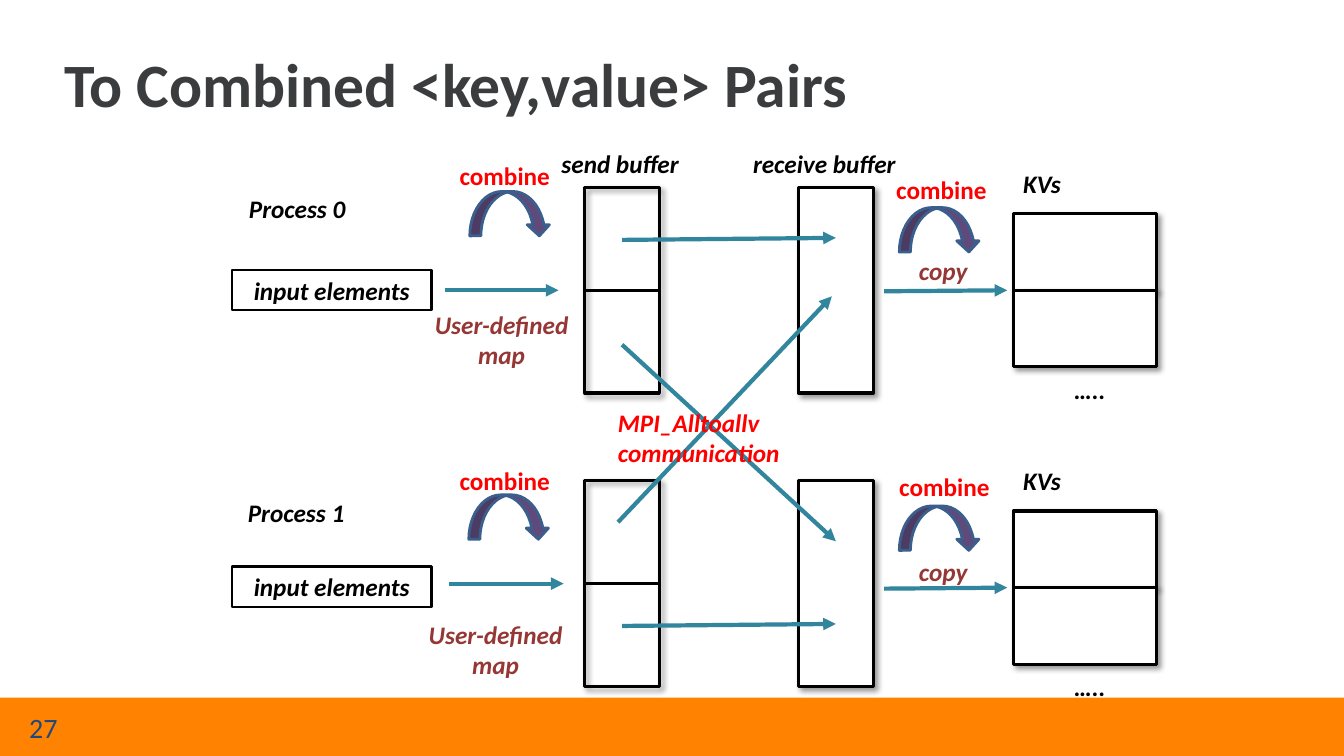
"""Builds the slide on combining key-value pairs between two MPI processes."""
from lxml import etree
from pptx import Presentation
from pptx.dml.color import RGBColor
from pptx.enum.shapes import MSO_CONNECTOR, MSO_SHAPE
from pptx.enum.text import MSO_ANCHOR, MSO_AUTO_SIZE, PP_ALIGN
from pptx.oxml import parse_xml
from pptx.oxml.ns import nsdecls, qn
from pptx.util import Inches, Pt

RECTANGLE, CURVED_ARROW = MSO_SHAPE.RECTANGLE, MSO_SHAPE.CURVED_DOWN_ARROW
STRAIGHT = MSO_CONNECTOR.STRAIGHT
LEFT, CENTER = PP_ALIGN.LEFT, PP_ALIGN.CENTER
TOP, MIDDLE = MSO_ANCHOR.TOP, MSO_ANCHOR.MIDDLE
FIT_SHAPE, NO_FIT = MSO_AUTO_SIZE.SHAPE_TO_FIT_TEXT, MSO_AUTO_SIZE.NONE

COLORS = {
    "white": "FFFFFF", "black": "000000", "orange": "FF8200",
    "title": "3B3C3E", "number": "1F497D", "red": "FF0000",
    "brown": "953735", "teal": "31859C", "purple": "604A7B", "edge": "3A5F8C",
}
COLORS = {name: RGBColor.from_string(code) for name, code in COLORS.items()}
SHADOW = (
    f'<a:effectLst {nsdecls("a")}><a:outerShdw blurRad="50800" dist="38100" '
    'dir="2700000" algn="tl" rotWithShape="0"><a:srgbClr val="000000">'
    '<a:alpha val="40000"/></a:srgbClr></a:outerShdw></a:effectLst>'
)

deck = Presentation()
deck.slide_width, deck.slide_height = Inches(13.33), Inches(7.5)
slide = deck.slides.add_slide(deck.slide_layouts[6])
shapes = slide.shapes


def add_text(text, holder=None, at=None, size=18, color="black", bold=True,
             italic=True, align=LEFT, anchor=TOP, wrap=False, fit=FIT_SHAPE):
    """Write text into a given shape, or into a new text box."""
    holder = holder or shapes.add_textbox(*map(Inches, at))
    frame = holder.text_frame
    frame.word_wrap, frame.auto_size, frame.vertical_anchor = wrap, fit, anchor
    frame.text = text
    for paragraph in frame.paragraphs:
        paragraph.alignment = align
        font = paragraph.font
        font.name, font.size = "Calibri", Pt(size)
        font.bold, font.italic = bold, italic
        font.color.rgb = COLORS[color]


def add_line(start, end, color, width, arrow=False):
    """Draw a straight line without shadow, with an optional arrowhead."""
    line = shapes.add_connector(STRAIGHT, *map(Inches, start + end))
    line.line.color.rgb = COLORS[color]
    line.line.width = Pt(width)
    if arrow:
        etree.SubElement(line.line._get_or_add_ln(), qn("a:tailEnd"), type="triangle")
    etree.SubElement(line._element.spPr, qn("a:effectLst"))
    return line


footer = shapes.add_shape(RECTANGLE, 0, Inches(6.92), deck.slide_width, Inches(0.58))
footer.shadow.inherit = False
footer.fill.solid()
footer.fill.fore_color.rgb = COLORS["orange"]
footer.line.fill.background()

add_text("To Combined <key,value> Pairs", at=(0.54, 0.2, 12, 1.25), size=44,
         color="title", italic=False, anchor=MIDDLE, wrap=True, fit=NO_FIT)

BUFFER_WIDTH, BUFFER_HEIGHT = 0.74, 2.04
KV_WIDTH, KV_HEIGHT = 1.42, 0.76
for buffer_top, input_top, kv_top in [(1.86, 2.68, 2.12), (4.77, 5.62, 5.07)]:
    boxes = [
        (5.8, buffer_top, BUFFER_WIDTH, BUFFER_HEIGHT, False),
        (7.92, buffer_top, BUFFER_WIDTH, BUFFER_HEIGHT, True),
        (10.05, kv_top, KV_WIDTH, KV_HEIGHT, True),
        (10.05, kv_top + KV_HEIGHT, KV_WIDTH, KV_HEIGHT, True),
    ]
    drawn = []
    for *place, filled in boxes:
        box = shapes.add_shape(RECTANGLE, *map(Inches, place))
        if filled:
            box.fill.solid()
            box.fill.fore_color.rgb = COLORS["white"]
        else:
            box.fill.background()
        box.line.color.rgb = COLORS["black"]
        box.line.width = Pt(2.25)
        box._element.spPr.append(parse_xml(SHADOW))
        drawn.append(box)

    send_middle = buffer_top + BUFFER_HEIGHT / 2
    divider = add_line((5.8, send_middle), (5.8 + BUFFER_WIDTH, send_middle), "black", 2.25)
    divider.begin_connect(drawn[0], 1)
    divider.end_connect(drawn[0], 3)

    input_box = shapes.add_shape(RECTANGLE, *map(Inches, (2.3, input_top, 1.98, 0.4)))
    input_box.shadow.inherit = False
    input_box.fill.background()
    input_box.line.color.rgb = COLORS["black"]
    input_box.line.width = Pt(1.5)
    add_text("input elements", holder=input_box, align=CENTER, wrap=True)

    kv_middle = kv_top + KV_HEIGHT
    add_line((8.77, kv_middle + 0.01), (9.99, kv_middle), "teal", 3, arrow=True)
    add_text("…..", at=(10.55, kv_middle + 0.78, 0.51, 0.4), italic=False)
    add_text("KVs", at=(10.05, kv_top - 0.5, 0.58, 0.4))

flows = [
    ((6.17, 2.38), (8.29, 2.36)),
    ((6.13, 5.18), (8.25, 2.94)),
    ((6.17, 3.42), (8.29, 5.37)),
    ((6.17, 6.21), (8.29, 6.19)),
    ((4.41, 2.88), (5.54, 2.88)),
    ((4.45, 5.79), (5.59, 5.79)),
]
for start, end in flows:
    add_line(start, end, "teal", 3, arrow=True)

add_text("MPI_Alltoallv\ncommunication", at=(6.03, 3.99, 1.82, 0.71), color="red")
for left, top in [(4.2, 3.02), (4.14, 6.09)]:
    add_text("User-defined\nmap", at=(left, top, 1.55, 0.71), color="brown", align=CENTER)
for top in (2.48, 5.47):
    add_text("copy", at=(9.01, top, 0.69, 0.4), color="brown", align=CENTER)
for heading, left, top, width in [
    ("send buffer", 5.47, 1.42, 1.39),
    ("receive buffer", 7.37, 1.42, 1.65),
    ("Process 0", 2.37, 1.87, 1.18),
    ("Process 1", 2.36, 4.88, 1.17),
]:
    add_text(heading, at=(left, top, width, 0.4))

combines = [
    ((4.66, 1.9), (4.46, 1.54)),
    ((4.65, 4.91), (4.46, 4.57)),
    ((8.92, 2.06), (8.79, 1.68)),
    ((8.92, 5.02), (8.82, 4.63)),
]
for loop_at, label_at in combines:
    loop_arrow = shapes.add_shape(CURVED_ARROW, *map(Inches, loop_at + (0.8, 0.44)))
    loop_arrow.shadow.inherit = False
    loop_arrow.fill.solid()
    loop_arrow.fill.fore_color.rgb = COLORS["purple"]
    loop_arrow.line.color.rgb = COLORS["edge"]
    loop_arrow.line.width = Pt(2)
    add_text("combine", at=label_at + (1.1, 0.4), color="red", italic=False)

add_text("27", at=(0.19, 7.02, 2.12, 0.4), size=20, color="number", bold=False,
         italic=False, anchor=MIDDLE, wrap=True, fit=NO_FIT)

deck.save("out.pptx")
